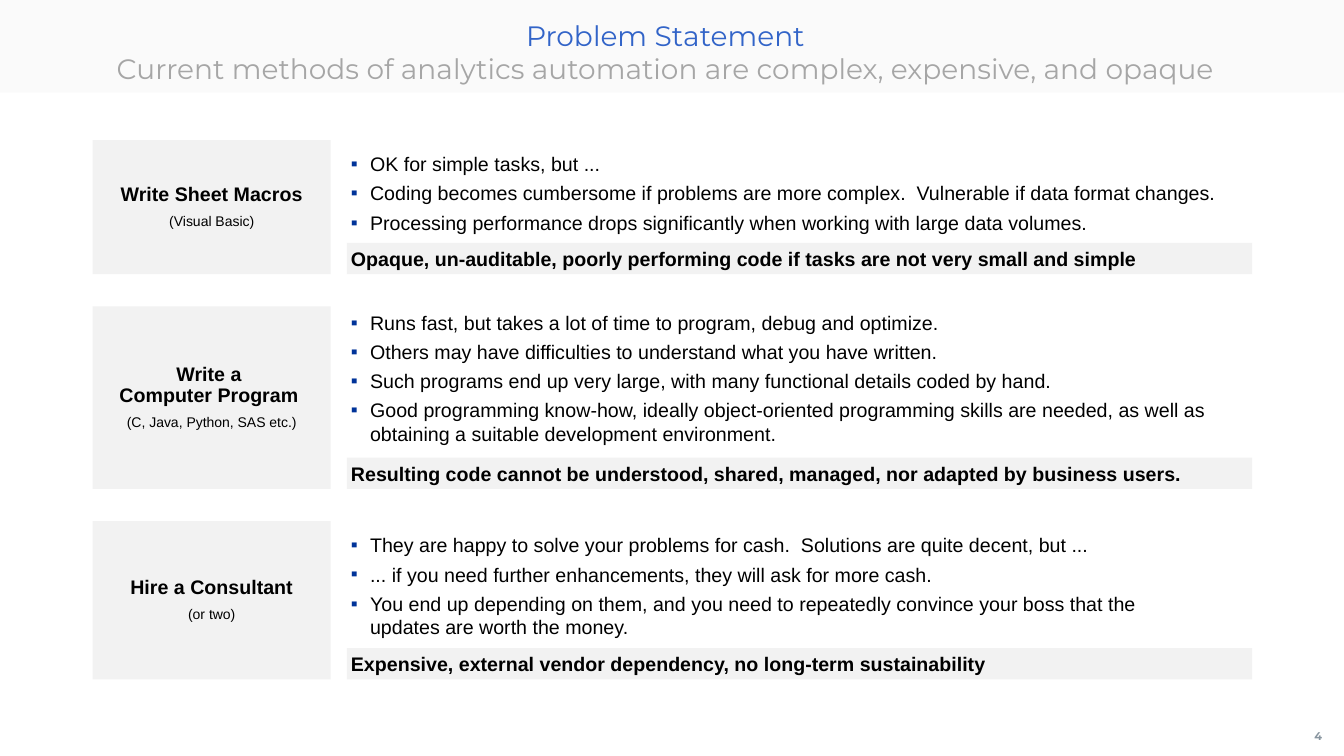
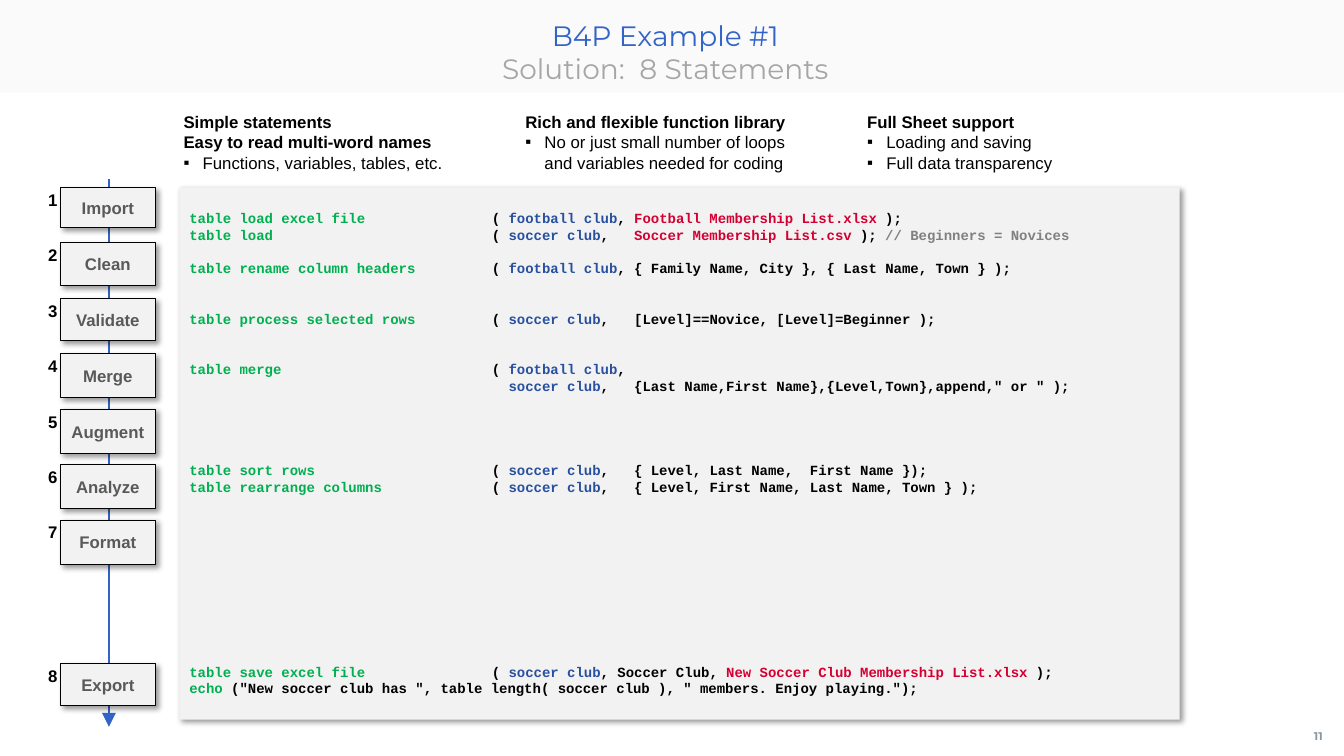
"""Build two slides on automating analytics: the problem and a coded solution."""
from dataclasses import dataclass

from lxml import etree
from pptx import Presentation
from pptx.dml.color import RGBColor
from pptx.enum import shapes, text
from pptx.oxml.ns import qn
from pptx.util import Inches, Pt


@dataclass(frozen=True)
class Theme:
    """Colours, fonts and type sizes."""
    blue: str = "3264C8"
    navy: str = "003399"
    pale: str = "F2F2F2"
    ink: str = "000000"
    soft: str = "A6A6A6"
    slate: str = "8996A0"
    dark: str = "595959"
    verb: str = "00B050"
    table: str = "2850A0"
    file: str = "D50032"
    note: str = "808080"
    head: str = "Montserrat"
    body: str = "Arial"
    mono: str = "Courier New"
    title: int = 20
    large: int = 14
    mid: int = 12
    small: int = 10
    tiny: int = 8


T = Theme()
PAD = (0.04, 0.04, 0.04, 0.04)
MID = text.MSO_ANCHOR.MIDDLE
CENTER = text.PP_ALIGN.CENTER

METHODS = [
    dict(name="Write Sheet Macros", hint="(Visual Basic)",
         high=1.33, drop=0.08, wide=8.76,
         points=["OK for simple tasks, but ...",
                 "Coding becomes cumbersome if problems are more complex.  "
                 "Vulnerable if data format changes.",
                 "Processing performance drops significantly when working "
                 "with large data volumes."],
         verdict="Opaque, un-auditable, poorly performing code if tasks are "
                 "not very small and simple"),
    dict(name="Write a \nComputer Program ", hint="(C, Java, Python, SAS etc.)",
         high=1.81, drop=0, wide=8.58,
         points=["Runs fast, but takes a lot of time to program, debug and optimize.",
                 "Others may have difficulties to understand what you have written.",
                 "Such programs end up very large, with many functional details "
                 "coded by hand.",
                 "Good programming know-how, ideally object-oriented programming "
                 "skills are needed, as well as obtaining a suitable development "
                 "environment."],
         verdict="Resulting code cannot be understood, shared, managed, nor "
                 "adapted by business users."),
    dict(name="Hire a Consultant", hint="(or two)",
         high=1.57, drop=0.08, wide=8.03,
         points=["They are happy to solve your problems for cash.  Solutions are "
                 "quite decent, but ...",
                 "... if you need further enhancements, they will ask for more cash.",
                 "You end up depending on them, and you need to repeatedly convince "
                 "your boss that the updates are worth the money."],
         verdict="Expensive, external vendor dependency, no long-term sustainability"),
]

TRAITS = [
    (["Simple statements", "Easy to read multi-word names"],
     ["Functions, variables, tables, etc."]),
    (["Rich and flexible function library"],
     ["No or just small number of loops\nand variables needed for coding"]),
    (["Full Sheet support"], ["Loading and saving", "Full data transparency"]),
]

STEPS = [("Import", 0.4), ("Clean", 0.42), ("Validate", 0.42), ("Merge", 0.43),
         ("Augment", 0.44), ("Analyze", 0.44), ("Format", 0.44), ("Export", 0.42)]

FOOT = ("table", "football club")
SOCC = ("table", "soccer club")
OPEN = ("ink", "\t( ")
CODE = [
    (0, [("verb", "table load excel file"), OPEN, FOOT, ("ink", ", "),
         ("file", "Football Membership List.xlsx"), ("ink", " );")]),
    (0, [("verb", "table load"), OPEN, SOCC, ("ink", ",   "),
         ("file", "Soccer Membership List.csv "), ("ink", "); "),
         ("note", "// Beginners = Novices")]),
    (1, [("verb", "table rename column headers"), OPEN, FOOT,
         ("ink", ", { Family Name, City }, { Last Name, Town } );")]),
    (2, [("verb", "table process selected rows"), OPEN, SOCC,
         ("ink", ",   [Level]==Novice, [Level]=Beginner );")]),
    (2, [("verb", "table merge"), OPEN, FOOT, ("ink", ",")]),
    (0, [("table", "\t  soccer club"),
         ("ink", ',   {Last Name,First Name},{Level,Town},append," or " );')]),
    (4, [("verb", "table sort rows"), OPEN, SOCC,
         ("ink", ",   { Level, Last Name,  First Name });")]),
    (0, [("verb", "table rearrange columns"), OPEN, SOCC,
         ("ink", ",   { Level, First Name, Last Name, Town } );")]),
    (10, [("verb", "table save excel file"), OPEN, SOCC, ("ink", ", Soccer Club, "),
          ("file", "New Soccer Club Membership List.xlsx"), ("ink", " );")]),
    (0, [("verb", "echo "),
         ("ink", '("New soccer club has ", table length( soccer club ), '
                 '" members. Enjoy playing.");')]),
]


def rgb(code):
    """Turn a hex code into a colour."""
    return RGBColor.from_string(code)


def apply(item, look):
    """Set attributes from a dict of format values."""
    for key, value in look.items():
        setattr(item, key, value)


def node(owner, tag, **attrs):
    """Append a drawing element."""
    return etree.SubElement(owner, qn("a:" + tag),
                            {key: str(value) for key, value in attrs.items()})


def run(words, color=T.ink, size=T.large, name=T.body, bold=False):
    """Describe a run of text."""
    return words, color, dict(size=Pt(size), name=name, bold=bold)


def para(*runs, bullet=None, tab=None, **look):
    """Describe a paragraph."""
    return runs, bullet, tab, look


def write(shape, paras, pad=PAD, **look):
    """Fill a shape's text frame with paragraphs."""
    frame = shape.text_frame
    sides = ("margin_left", "margin_top", "margin_right", "margin_bottom")
    apply(frame, dict(zip(sides, map(Inches, pad))))
    apply(frame, dict(dict(word_wrap=True, vertical_anchor=text.MSO_ANCHOR.TOP,
                           auto_size=text.MSO_AUTO_SIZE.NONE), **look))
    for i, (runs, bullet, tab, form) in enumerate(paras):
        line = frame.add_paragraph() if i else frame.paragraphs[0]
        props = line._p.get_or_add_pPr()
        if bullet:
            props.set("marL", str(Inches(0.19)))
            props.set("indent", str(-Inches(0.19)))
            node(node(props, "buClr"), "srgbClr", val=bullet)
            node(props, "buFont", typeface=T.body)
            node(props, "buChar", char="▪")
        if tab:
            node(node(props, "tabLst"), "tab", pos=Inches(tab), algn="l")
        apply(line, dict(dict(alignment=text.PP_ALIGN.LEFT), **form))
        if not i:
            line.space_before = Pt(0)
        for words, color, font in runs:
            for j, part in enumerate(words.split("\n")):
                if j:
                    line.add_line_break()
                piece = line.add_run()
                piece.text = part
                apply(piece.font, font)
                piece.font.color.rgb = rgb(color)


def rect(slide, *at, edge=None, shade=False):
    """Draw a pale rectangle, edged or shaded if asked."""
    shape = slide.shapes.add_shape(shapes.MSO_SHAPE.RECTANGLE, *map(Inches, at))
    shape.shadow.inherit = False
    shape.fill.solid()
    shape.fill.fore_color.rgb = rgb(T.pale)
    if edge:
        shape.line.color.rgb = rgb(edge)
        shape.line.width = Pt(0.75)
    else:
        shape.line.fill.background()
    if shade:
        glow = node(shape.element.spPr.find(qn("a:effectLst")), "outerShdw",
                    blurRad=Pt(4), dist=Pt(3), dir=45 * 60000,
                    algn="tl", rotWithShape=0)
        node(node(glow, "srgbClr", val=T.ink), "alpha", val=40000)
    return shape


def label(slide, at, paras, **look):
    """Add a text box."""
    write(slide.shapes.add_textbox(*map(Inches, at)), paras, **look)


def band(slide, layout):
    """Put the translucent title band on the layout."""
    strip = rect(slide, 0, 0, 13.33, 0.92)
    tint = strip.element.spPr.find(qn("a:solidFill"))[0]
    node(tint, "alpha", val=34000)
    layout.shapes.element.insert(2, strip.element)


def start(deck, layout, title, sub, page):
    """Add a slide with its title and page number."""
    slide = deck.slides.add_slide(layout)
    head = slide.shapes.title
    apply(head, dict(left=Inches(0.51), top=Inches(0.13),
                     width=Inches(12.28), height=Inches(0.79)))
    write(head, [para(run(title + "\n", T.blue, T.title, T.head),
                      run(sub, T.soft, T.title, T.head), alignment=CENTER)],
          pad=(0, 0.05, 0.1, 0.05))
    label(slide, (12.89, 7.11, 0.45, 0.39),
          [para(run(page, T.slate, T.tiny, T.head, True), alignment=CENTER)],
          pad=(0, 0.05, 0.08, 0.05), vertical_anchor=MID, word_wrap=False)
    return slide


def problem(slide):
    """Draw the three methods, each with points and a verdict."""
    top, gap, bar = 1.39, 0.32, 0.31
    card = dict(alignment=CENTER, line_spacing=0.9,
                space_before=Pt(3), space_after=Pt(3))
    item = dict(bullet=T.navy, space_before=Pt(2), space_after=Pt(2))
    for way in METHODS:
        high, drop = way["high"], way["drop"]
        write(rect(slide, 0.92, top, 2.36, high),
              [para(run(way["name"], bold=True), **card),
               para(run(way["hint"], size=T.small), **card)], vertical_anchor=MID)
        write(rect(slide, 3.44, top + high - bar, 8.98, bar),
              [para(run(way["verdict"], bold=True))])
        label(slide, (3.44, top + drop, way["wide"], high - bar - drop),
              [para(run(point), **item) for point in way["points"]])
        top += high + gap


def solution(slide):
    """Draw the step chain, the traits and the code."""
    first, pitch, last = 1.86, 0.55, 6.58
    flow = slide.shapes.add_connector(
        shapes.MSO_CONNECTOR.STRAIGHT,
        *map(Inches, (1.08, 1.78, 1.08, 7.21)))
    flow.line.color.rgb = rgb(T.blue)
    flow.line.width = Pt(1.75)
    props = flow.element.spPr
    node(props.find(qn("a:ln")), "tailEnd", type="triangle", w="lg", len="lg")
    node(props, "effectLst")

    row = 12
    write(rect(slide, 1.78, first, 9.92, 5.28, shade=True),
          [para(*(run(words, getattr(T, kind), T.small, T.mono, True)
                  for kind, words in runs),
                tab=3, line_spacing=Pt(row), space_before=Pt(row * skip))
           for skip, runs in CODE], pad=(0.1, 0.22, 0.1, 0.05))

    for i, (name, high) in enumerate(STEPS):
        top = last if i == len(STEPS) - 1 else first + pitch * i
        write(rect(slide, 0.6, top, 0.94, high, edge=T.ink, shade=True),
              [para(run(name, T.dark, T.mid, bold=True), alignment=CENTER)],
              vertical_anchor=MID, word_wrap=False)
        label(slide, (0.37, top, 0.24, 0.24),
              [para(run(str(i + 1), size=T.mid, bold=True),
                    alignment=text.PP_ALIGN.RIGHT)], vertical_anchor=MID)

    for i, (heads, points) in enumerate(TRAITS):
        label(slide, (1.78 + 3.39 * i, 1.07, 3.15, 0.71),
              [para(run(head, size=T.mid, bold=True)) for head in heads]
              + [para(run(point, size=T.mid), bullet=T.ink) for point in points])


def main():
    """Build and save the deck."""
    deck = Presentation()
    deck.slide_width, deck.slide_height = Inches(13.33), Inches(7.5)
    layout = deck.slide_layouts[5]
    slide = start(deck, layout, "Problem Statement",
                  "Current methods of analytics automation are complex, "
                  "expensive, and opaque", "4")
    band(slide, layout)
    problem(slide)
    solution(start(deck, layout, "B4P Example #1", "Solution:  8 Statements", "11"))
    deck.save("out.pptx")


if __name__ == "__main__":
    main()
